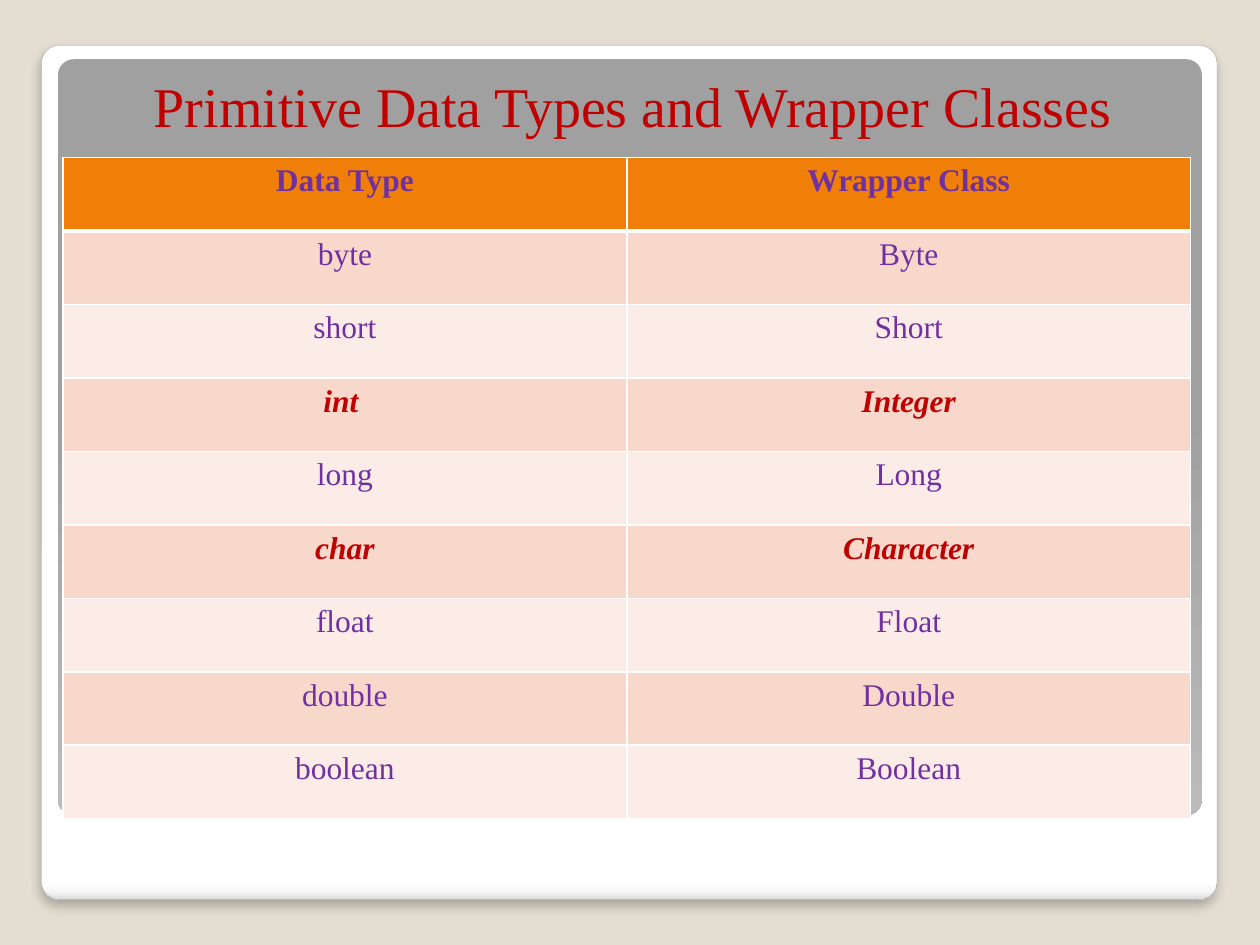
from lxml import etree
from pptx import Presentation
from pptx import util as u
from pptx.dml.color import RGBColor
from pptx.enum import shapes, text
from pptx.oxml import parse_xml
from pptx.oxml.ns import nsdecls, qn

FONT = "Times New Roman"
RED, PURPLE, WHITE = "C00000", "7030A0", "FFFFFF"
HEADER, BANDS = "F07F09", ("F9D8CC", "FCECE7")
TYPES = [
    ("Data Type", "Wrapper Class"),
    ("byte", "Byte"),
    ("short", "Short"),
    ("int ", "Integer"),
    ("long", "Long"),
    ("char", "Character"),
    ("float", "Float"),
    ("double", "Double"),
    ("boolean", "Boolean"),
]
HIGHLIGHTED = {"int ", "char"}


def rgb(value):
    """Turn a hex string into a colour."""
    return RGBColor.from_string(value)


def inches(box):
    """Turn left, top, width, height into lengths."""
    return [u.Inches(v) for v in box]


def add_run(p, words, size, color, bold=False, italic=False):
    """Add one centred, formatted run to a paragraph."""
    p.alignment = text.PP_ALIGN.CENTER
    r = p.add_run()
    r.text = words
    r.font.name, r.font.size = FONT, u.Pt(size)
    r.font.color.rgb = rgb(color)
    r.font.bold, r.font.italic = bold, italic


def set_gradient(sp, stops):
    """Fill a shape from top to bottom with (percent, colour) stops."""
    sp.fill.gradient()
    sp.fill.gradient_angle = 270
    gs_list = sp._element.spPr.find(qn("a:gradFill")).find(qn("a:gsLst"))
    for gs in list(gs_list):
        gs_list.remove(gs)
    for percent, color in stops:
        gs = etree.SubElement(gs_list, qn("a:gs"), pos=str(percent * 1000))
        etree.SubElement(gs, qn("a:srgbClr"), val=color)


def add_panel(s, box, stops):
    """Add a rounded panel with a gradient and no line or shadow."""
    sp = s.shapes.add_shape(shapes.MSO_SHAPE.ROUNDED_RECTANGLE, *inches(box))
    sp.adjustments[0] = 0.021
    sp.shadow.inherit = False
    set_gradient(sp, stops)
    sp.line.fill.background()
    return sp


def add_frame(s, box):
    """Add the white card with its thin line and soft shadow."""
    sp = add_panel(s, box, [(0, WHITE), (98, WHITE), (99, "F7F7F7"), (100, "DADADA")])
    sp.line.color.rgb = rgb("A4A4A4")
    sp.line.width = u.Pt(0.16)
    sp._element.spPr.find(qn("a:effectLst")).append(parse_xml(
        f'<a:outerShdw {nsdecls("a")} blurRad="{u.Pt(6)}" dist="{u.Pt(4)}" '
        'dir="5400000" algn="t" rotWithShape="0"><a:srgbClr val="000000">'
        '<a:alpha val="25000"/></a:srgbClr></a:outerShdw>'))


def set_title(s, box, words):
    """Place the title above the panels and fill it."""
    sp = s.shapes.title
    s.shapes._spTree.append(sp._element)
    sp.left, sp.top, sp.width, sp.height = inches(box)
    tf = sp.text_frame
    tf.vertical_anchor = text.MSO_ANCHOR.BOTTOM
    add_run(tf.paragraphs[0], words, 32, RED)


def set_borders(cell, widths):
    """Draw white cell borders; widths are points by side."""
    tc_pr = cell._tc.get_or_add_tcPr()
    for i, (side, width) in enumerate(widths.items()):
        tc_pr.insert(i, parse_xml(
            f'<a:ln{side} {nsdecls("a")} w="{u.Pt(width)}"><a:solidFill>'
            f'<a:srgbClr val="{WHITE}"/></a:solidFill></a:ln{side}>'))


def add_type_table(s, box, rows):
    """Add the banded table of types, with a header row."""
    table = s.shapes.add_table(len(rows), len(rows[0]), *inches(box)).table
    table.first_row = table.horz_banding = False
    for i, row in enumerate(rows):
        strong = row[0] in HIGHLIGHTED
        for j, words in enumerate(row):
            cell = table.cell(i, j)
            cell.fill.solid()
            cell.fill.fore_color.rgb = rgb(BANDS[(i - 1) % 2] if i else HEADER)
            set_borders(cell, {"L": 1, "R": 1, "T": 3 if i == 1 else 1,
                               "B": 1 if i else 3})
            add_run(cell.text_frame.paragraphs[0], words, 18,
                    RED if strong else PURPLE, strong or i == 0, strong)


def build_slide(prs):
    """Build the slide of primitive types and their wrappers."""
    s = prs.slides.add_slide(prs.slide_layouts[5])
    s.background.fill.solid()
    s.background.fill.fore_color.rgb = rgb("E3DED1")
    add_frame(s, (0.33, 0.36, 9.33, 6.78))
    add_panel(s, (0.46, 0.47, 9.08, 6),
              [(0, "A0A0A0"), (50, "A2A2A2"), (100, "BBBBBB")])
    set_title(s, (0.55, 0, 8.95, 1.15), "Primitive Data Types and Wrapper Classes")
    add_type_table(s, (0.5, 1.25, 8.95, 5.25), TYPES)


prs = Presentation()
prs.slide_width, prs.slide_height = u.Inches(10), u.Inches(7.5)
build_slide(prs)
prs.save("out.pptx")
